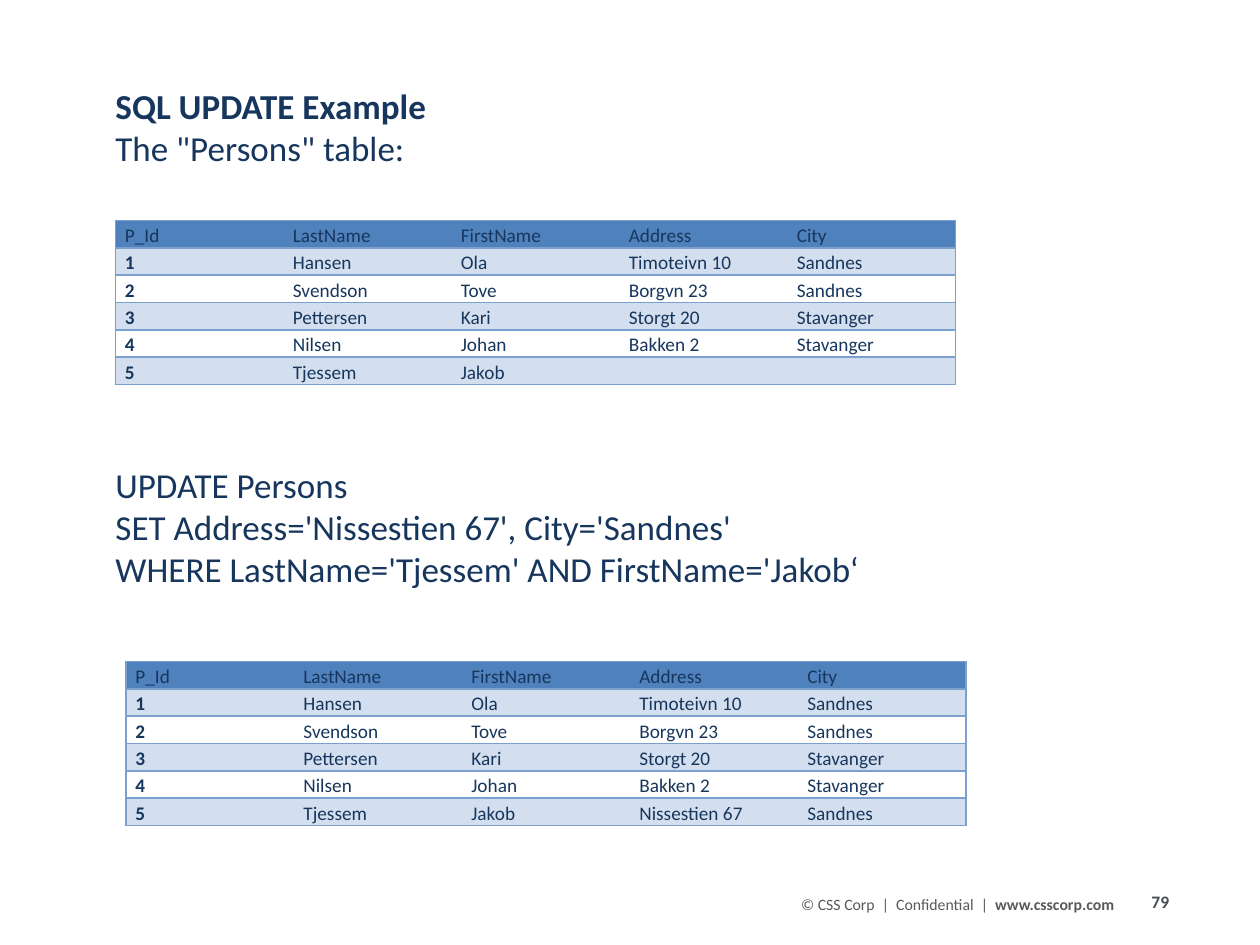
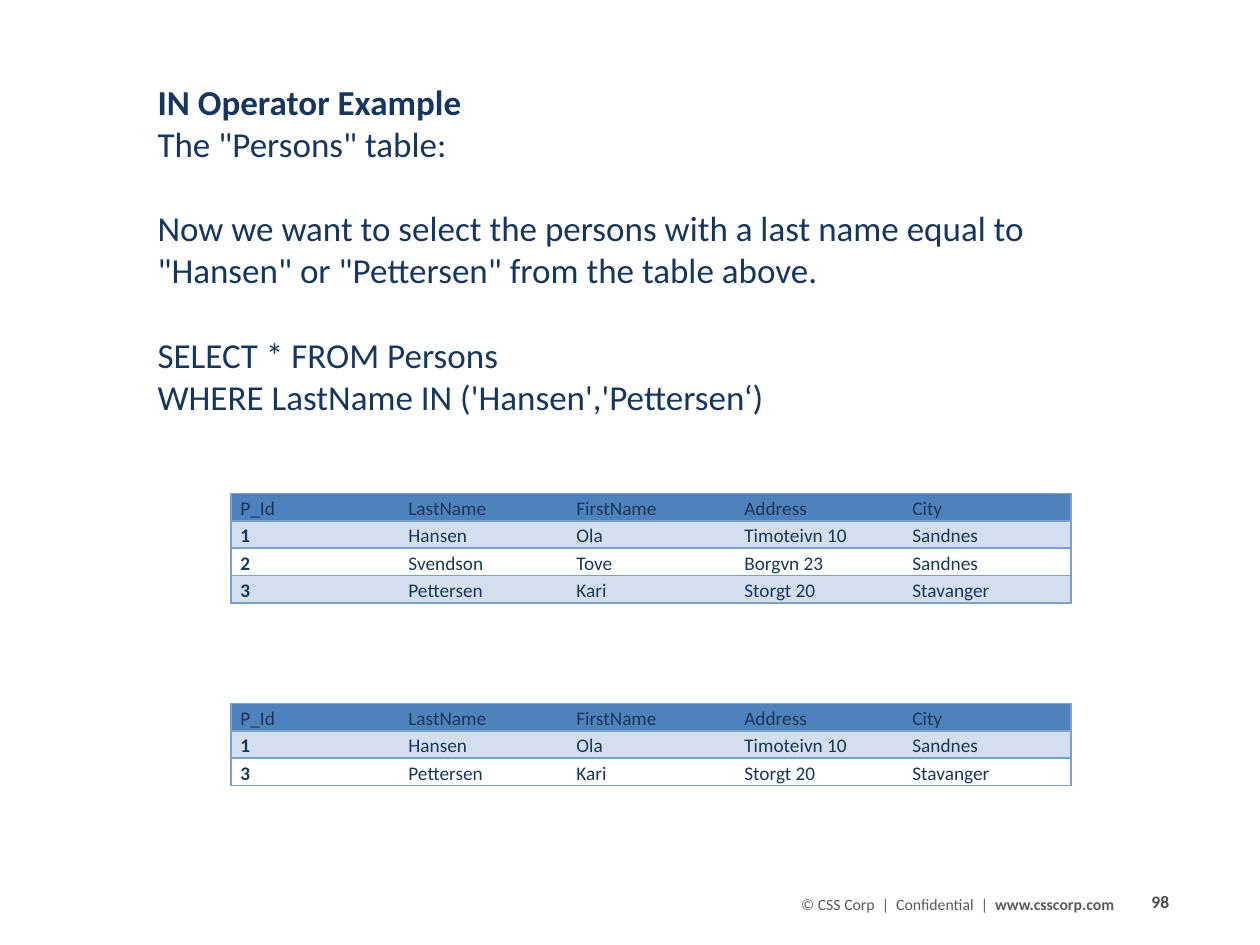
import pptx
import pptx.util
import pptx.dml.color
import pptx.enum.text
import pptx.oxml.ns
from lxml import etree

Pt = pptx.util.Pt
qn = pptx.oxml.ns.qn

COLORS = {
    "navy": "17365D",
    "header": "4F81BD",
    "band": "D3DFEE",
    "border": "7BA0CD",
    "footer": "58595B",
    "number": "484C52",
}
FONT = "Calibri"
LINE = 24.1
COLUMN_WIDTH = 96
ROW_HEIGHT = 15.12

HEADER = ["P_Id", "LastName", "FirstName", "Address", "City"]
HANSEN = ["1", "Hansen", "Ola", "Timoteivn 10", "Sandnes"]
SVENDSON = ["2", "Svendson", "Tove", "Borgvn 23", "Sandnes"]
PETTERSEN = ["3", "Pettersen", "Kari", "Storgt 20", "Stavanger"]
NILSEN = ["4", "Nilsen", "Johan", "Bakken 2", "Stavanger"]
TJESSEM = ["5", "Tjessem", "Jakob", "", ""]
TJESSEM_UPDATED = ["5", "Tjessem", "Jakob", "Nissestien 67", "Sandnes"]
FIRST_FOUR = [HANSEN, SVENDSON, PETTERSEN, NILSEN]

PAGES = [
    {
        "number": "79",
        "title": "SQL UPDATE Example",
        "left": 66, "top": 48.2, "width": 504,
        "texts": [
            (1, 1, ['The "Persons" table:']),
            (9, 3, ["UPDATE Persons\vSET Address='Nissestien 67', City='Sandnes'\v"
                    "WHERE LastName='Tjessem' AND FirstName='Jakob‘"]),
        ],
        "tables": [
            (66, 126, FIRST_FOUR + [TJESSEM]),
            (72, 378, FIRST_FOUR + [TJESSEM_UPDATED]),
        ],
    },
    {
        "number": "98",
        "title": "IN Operator Example",
        "left": 90, "top": 46, "width": 528,
        "texts": [
            (1, 7, ['The "Persons" table:',
                    "Now we want to select the persons with a last name equal to "
                    '"Hansen" or "Pettersen" from the table above.',
                    "SELECT * FROM Persons\vWHERE LastName IN ('Hansen','Pettersen‘)"]),
        ],
        "tables": [
            (132, 282, [HANSEN, SVENDSON, PETTERSEN]),
            (132, 402, [HANSEN, PETTERSEN]),
        ],
    },
]


def style(para, size, color, bold=False):
    para.alignment = pptx.enum.text.PP_ALIGN.LEFT
    for span in para.runs:
        span.font.name = FONT
        span.font.size = Pt(size)
        span.font.bold = bold
        span.font.color.rgb = pptx.dml.color.RGBColor.from_string(COLORS[color])


def frame(box, left, top, width, height, inset=(0, 0), wrap=True):
    box.left, box.top, box.width, box.height = Pt(left), Pt(top), Pt(width), Pt(height)
    text = box.text_frame
    text.word_wrap = wrap
    text.auto_size = pptx.enum.text.MSO_AUTO_SIZE.NONE
    text.vertical_anchor = pptx.enum.text.MSO_ANCHOR.TOP
    text.margin_left = text.margin_right = Pt(inset[0])
    text.margin_top = text.margin_bottom = Pt(inset[1])
    return text


deck = pptx.Presentation()
deck.slide_width, deck.slide_height = Pt(720), Pt(540)

for content in PAGES:
    page = deck.slides.add_slide(deck.slide_layouts[5])
    left, top, width = content["left"], content["top"], content["width"]

    title = frame(page.shapes.title, left, top, width, LINE)
    title.text = content["title"]
    style(title.paragraphs[0], 20, "navy", True)

    for first_line, line_count, paragraphs in content["texts"]:
        box = page.shapes.add_textbox(0, 0, 0, 0)
        body = frame(box, left, top + first_line * LINE, width, line_count * LINE)
        for index, words in enumerate(paragraphs):
            para = body.add_paragraph() if index else body.paragraphs[0]
            para.text = words
            if index:
                para.space_before = Pt(LINE)
            style(para, 20, "navy")

    for table_left, table_top, people in content["tables"]:
        rows = [HEADER] + people
        table = page.shapes.add_table(
            len(rows), len(HEADER), Pt(table_left), Pt(table_top),
            Pt(COLUMN_WIDTH * len(HEADER)), Pt(ROW_HEIGHT * len(rows))).table
        table.first_row = table.horz_banding = False
        for row_index, row in enumerate(rows):
            table.rows[row_index].height = Pt(ROW_HEIGHT)
            for column_index, value in enumerate(row):
                cell = table.cell(row_index, column_index)
                cell.margin_left = cell.margin_right = Pt(5.4)
                cell.margin_top = cell.margin_bottom = 0
                cell.text = value
                para = cell.text_frame.paragraphs[0]
                para.line_spacing = 1.15
                style(para, 11, "navy", row_index > 0 and column_index == 0)
                if not value:
                    etree.SubElement(para._p, qn("a:endParaRPr"), sz="1100")

                drawn = {"L": column_index == 0, "R": column_index == len(row) - 1,
                         "T": True, "B": True}
                properties = cell._tc.get_or_add_tcPr()
                for side, visible in drawn.items():
                    line = etree.SubElement(properties, qn("a:ln" + side), w="12700")
                    if visible:
                        fill = etree.SubElement(line, qn("a:solidFill"))
                        etree.SubElement(fill, qn("a:srgbClr"), val=COLORS["border"])
                    else:
                        etree.SubElement(line, qn("a:noFill"))

                if row_index and row_index % 2 == 0:
                    cell.fill.background()
                else:
                    cell.fill.solid()
                    shade = COLORS["band" if row_index else "header"]
                    cell.fill.fore_color.rgb = pptx.dml.color.RGBColor.from_string(shade)

    box = page.shapes.add_textbox(0, 0, 0, 0)
    footer = frame(box, 450.7, 507.6, 221.8, 18, (7.2, 3.6))
    para = footer.paragraphs[0]
    for words in ["© CSS Corp  |  Confidential  |  ", "www.csscorp.com"]:
        para.add_run().text = words
    style(para, 9, "footer")
    para.runs[1].font.bold = True

    box = page.shapes.add_textbox(0, 0, 0, 0)
    number = frame(box, 650.9, 505.4, 56.9, 19.4, (7.2, 3.6), False)
    number.text = content["number"]
    style(number.paragraphs[0], 10, "number", True)

deck.save("out.pptx")
